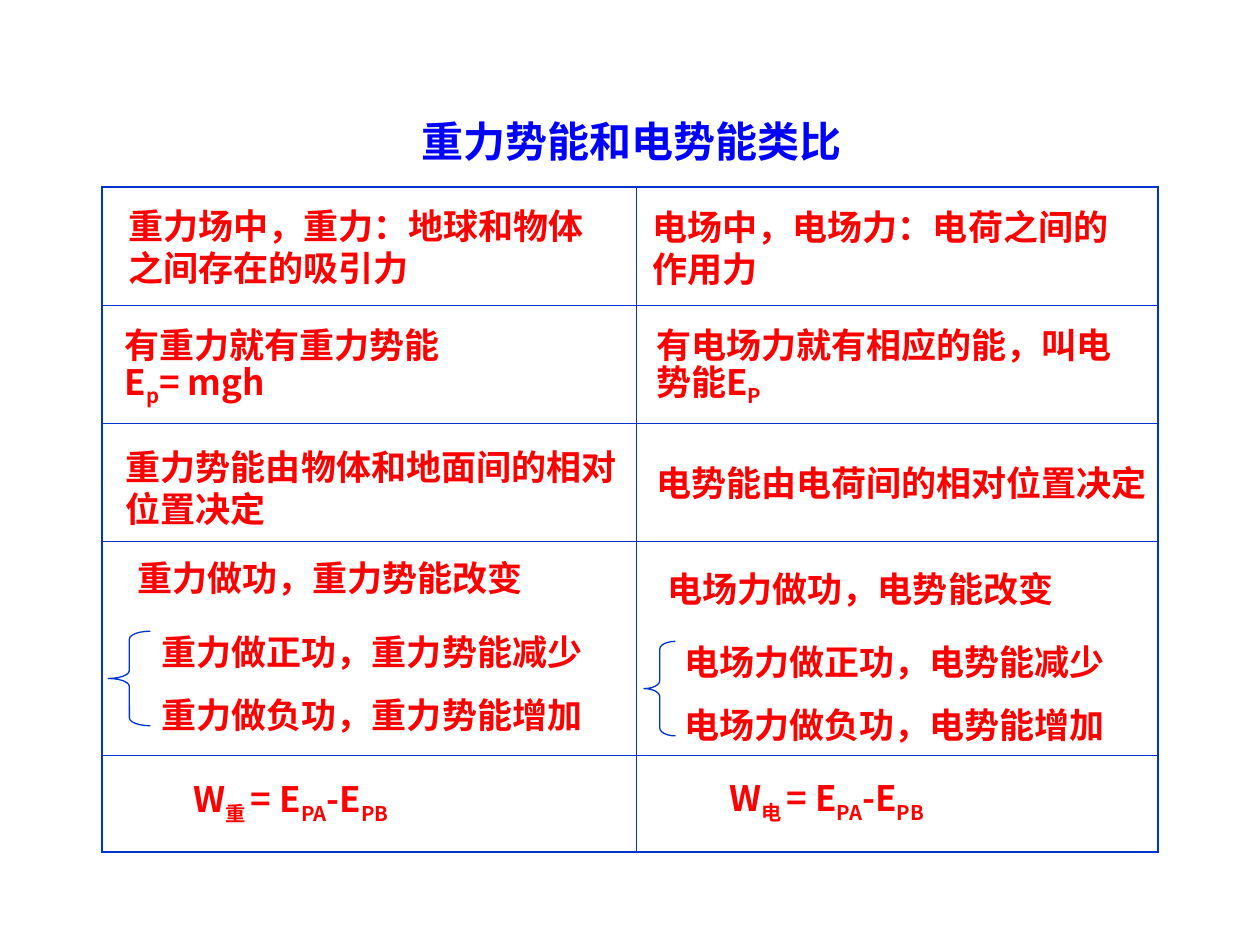
import pptx
import pptx.dml.color
import pptx.enum.shapes
import pptx.enum.text
import pptx.oxml
import pptx.oxml.ns
import pptx.util

Pt = pptx.util.Pt
BLUE, RED, TITLE_BLUE = "0033CC", "FF0000", "0000FF"
CJK_FONT = "Noto Sans CJK SC"


def color(value):
    return pptx.dml.color.RGBColor.from_string(value)


def write_text(frame, text, size=20, fill=RED, font=CJK_FONT):
    """Write lines as paragraphs; every second part between bars is a subscript."""
    for index, line in enumerate(text.split("\n")):
        paragraph = frame.add_paragraph() if index else frame.paragraphs[0]
        paragraph.line_spacing = Pt(size * 1.2)
        for position, part in enumerate(line.split("|")):
            if not part:
                continue
            run = paragraph.add_run()
            run.text = part
            run.font.size = Pt(size)
            run.font.bold = True
            run.font.name = font
            run.font.color.rgb = color(fill)
            properties = run.font._element
            east_asian = pptx.oxml.parse_xml(
                f'<a:ea {pptx.oxml.ns.nsdecls("a")} typeface="{CJK_FONT}"/>')
            properties.find(pptx.oxml.ns.qn("a:latin")).addnext(east_asian)
            if position % 2:
                properties.set("baseline", "-25000")


class SlideBuilder:
    def __init__(self, slide, line_color=BLUE):
        self.slide = slide
        self.line_color = line_color

    def text(self, left, top, width, height, text, **style):
        shape = self.slide.shapes.add_textbox(Pt(left), Pt(top), Pt(width), Pt(height))
        frame = shape.text_frame
        frame.word_wrap = True
        frame.vertical_anchor = pptx.enum.text.MSO_ANCHOR.TOP
        frame.margin_top = Pt(5)
        write_text(frame, text, **style)

    def brace(self, left, top, width, height):
        shape = self.slide.shapes.add_shape(
            pptx.enum.shapes.MSO_SHAPE.LEFT_BRACE, Pt(left), Pt(top), Pt(width), Pt(height))
        shape.adjustments[0] = 4.5 / width
        shape.shadow.inherit = False
        shape.fill.background()
        shape.line.color.rgb = color(self.line_color)
        shape.line.width = Pt(0.75)

    def border(self, cell, side, width):
        cell._tc.get_or_add_tcPr().append(pptx.oxml.parse_xml(
            f'<a:{side} {pptx.oxml.ns.nsdecls("a")} w="{Pt(width)}"><a:solidFill>'
            f'<a:srgbClr val="{self.line_color}"/></a:solidFill></a:{side}>'))

    def grid(self, left, top, widths, heights, outer=1.08, inner=0.45):
        table = self.slide.shapes.add_table(
            len(heights), len(widths), Pt(left), Pt(top),
            Pt(sum(widths)), Pt(sum(heights))).table
        table.first_row = table.horz_banding = False
        for column, width in zip(table.columns, widths):
            column.width = Pt(width)
        for row, height in zip(table.rows, heights):
            row.height = Pt(height)
        last_row, last_column = len(heights) - 1, len(widths) - 1
        for row in range(len(heights)):
            for column in range(len(widths)):
                cell = table.cell(row, column)
                edges = {"lnL": column == 0, "lnR": column == last_column,
                         "lnT": row == 0, "lnB": row == last_row}
                for side, is_outer in edges.items():
                    self.border(cell, side, outer if is_outer else inner)
                cell.fill.background()


def main():
    presentation = pptx.Presentation()
    presentation.slide_width, presentation.slide_height = Pt(720), Pt(540)
    builder = SlideBuilder(presentation.slides.add_slide(presentation.slide_layouts[6]))

    builder.text(234, 61.2, 384, 36, "重力势能和电势能类比",
                 size=24, fill=TITLE_BLUE, font="Times New Roman")
    builder.grid(58.3, 106.8, [305.2, 298.2], [67.5, 67.5, 67.5, 122.6, 54.9])

    statements = [
        (66.2, 111.6, 285, 55, "重力场中，重力：地球和物体之间存在的吸引力"),
        (365.8, 112.3, 292, 55, "电场中，电场力：电荷之间的作用力"),
        (64.1, 180, 289, 59, "有重力就有重力势能\nE|p|= mgh"),
        (367.9, 180, 287, 59, "有电场力就有相应的能，叫电势能E|P"),
        (64.8, 249.8, 297, 55, "重力势能由物体和地面间的相对位置决定"),
        (367.9, 258.5, 300, 32, "电势能由电荷间的相对位置决定"),
        (103.7, 442.8, 187, 35, "W|重 |= E|PA|-E|PB"),
        (409.7, 442.1, 210, 35, "W|电 |= E|PA|-E|PB"),
    ]
    for statement in statements:
        builder.text(*statement)

    work_groups = [
        (71.3, 313.2, 85.3, "重力", "重力势能", 61.9, 24),
        (374.4, 319, 383.8, "电场力", "电势能", 368, 18),
    ]
    for left, top, case_left, force, energy, brace_left, brace_width in work_groups:
        builder.text(left, top, 240, 32, f"{force}做功，{energy}改变")
        builder.brace(brace_left, top + 47.5, brace_width, 54)
        for index, (sign, change) in enumerate([("正", "减少"), ("负", "增加")]):
            builder.text(case_left, top + 42 + 36 * index, 260, 32,
                         f"{force}做{sign}功，{energy}{change}")

    presentation.save("out.pptx")


if __name__ == "__main__":
    main()
